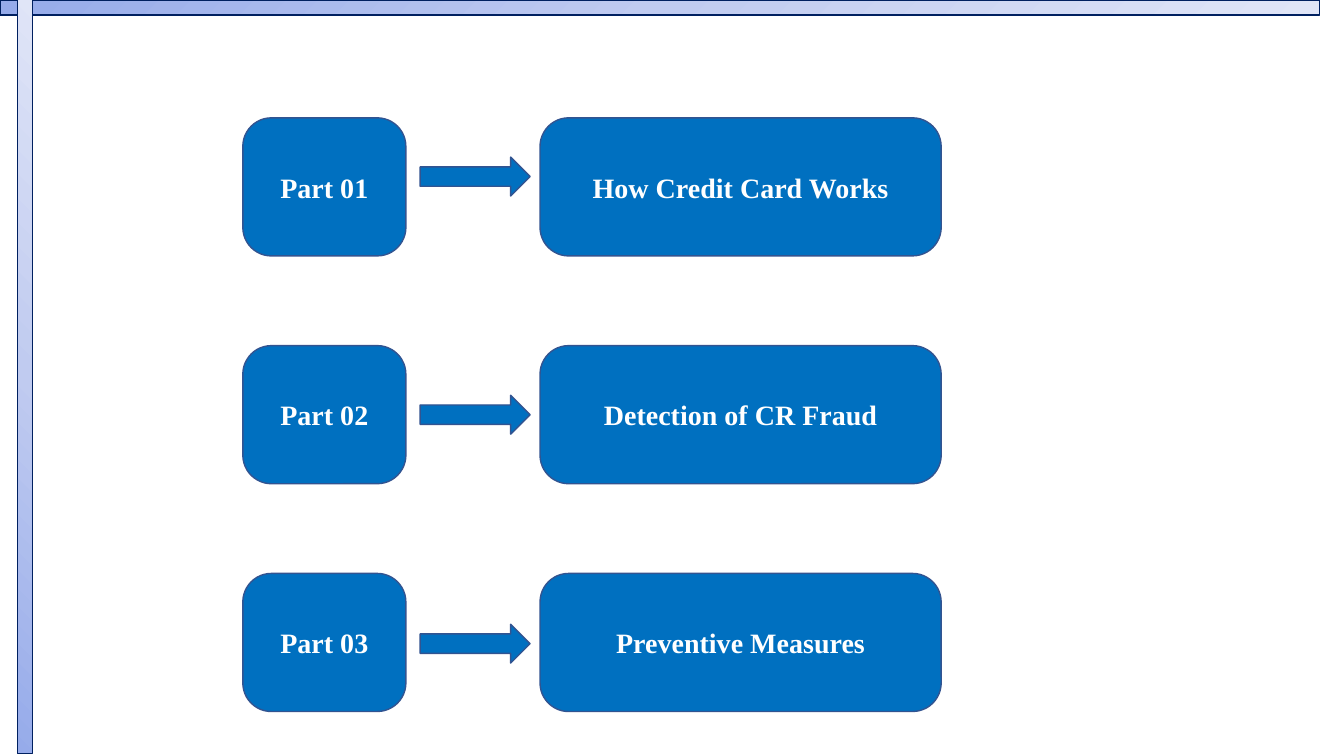
from lxml import etree
from pptx import Presentation
from pptx.dml.color import RGBColor
from pptx.enum.shapes import MSO_SHAPE
from pptx.enum.text import MSO_ANCHOR, PP_ALIGN
from pptx.oxml.ns import qn
from pptx.util import Cm, Pt

ROUND = MSO_SHAPE.ROUNDED_RECTANGLE
ARROW = MSO_SHAPE.RIGHT_ARROW
RECT = MSO_SHAPE.RECTANGLE
MIDDLE = MSO_ANCHOR.MIDDLE
CENTER = PP_ALIGN.CENTER

COLORS = {"box": "0070C0", "edge": "325491", "text": "FFFFFF", "frame": "002060"}
FADE = [(0, "96ABEA"), (50, "C0CBF0"), (100, "E0E5F7")]
FONT = "Times New Roman"
PARTS = [
    ("Part 01", "How Credit Card Works", 3.96),
    ("Part 02", "Detection of CR Fraud", 9.96),
    ("Part 03", "Preventive Measures", 15.73),
]
BARS = [(0, 0, 33.25, 0), (-8.92, 9.25, 19.1, 270)]
TOP, PITCH, HEIGHT = 2.97, 5.74, 3.48
LABEL = (6.12, 4.11)
TOPIC = (13.61, 10.11)


def rgb(name):
    return RGBColor.from_string(COLORS[name])


def add_part(slide, kind, x, y, w, h, edge):
    shape = slide.shapes.add_shape(kind, Cm(x), Cm(y), Cm(w), Cm(h))
    shape.shadow.inherit = False
    shape.fill.solid()
    shape.fill.fore_color.rgb = rgb("box")
    shape.line.color.rgb = rgb(edge)
    shape.line.width = Pt(1)
    return shape


def add_box(slide, text, x, y, w):
    box = add_part(slide, ROUND, x, y, w, HEIGHT, "edge")
    box.adjustments[0] = 0.207
    frame = box.text_frame
    frame.word_wrap = True
    frame.vertical_anchor = MIDDLE
    para = frame.paragraphs[0]
    para.alignment = CENTER
    run = para.add_run()
    run.text = text
    run.font.name = FONT
    run.font.size = Pt(20)
    run.font.bold = True
    run.font.color.rgb = rgb("text")


def add_bar(slide, x, y, w, turn):
    bar = add_part(slide, RECT, x, y, w, 0.38, "frame")
    bar.rotation = turn
    bar.fill.gradient()
    bar.fill.gradient_angle = 315
    stops = bar.fill.gradient_stops
    stops[0].color.rgb = RGBColor.from_string(FADE[0][1])
    group = bar.element.spPr.find(".//" + qn("a:gsLst"))
    for stop in list(group):
        group.remove(stop)
    for place, color in FADE:
        stop = etree.SubElement(group, qn("a:gs"), pos=str(place * 1000))
        etree.SubElement(stop, qn("a:srgbClr"), val=color)


def main():
    deck = Presentation()
    deck.slide_width, deck.slide_height = Cm(33.87), Cm(19.05)
    slide = deck.slides.add_slide(deck.slide_layouts[6])
    for row, (label, topic, y) in enumerate(PARTS):
        top = TOP + row * PITCH
        add_box(slide, topic, TOPIC[0], top, TOPIC[1])
        add_box(slide, label, LABEL[0], top, LABEL[1])
        add_part(slide, ARROW, 10.59, y, 2.77, 0.98, "edge")
    for bar in BARS:
        add_bar(slide, *bar)
    deck.save("out.pptx")


if __name__ == "__main__":
    main()
